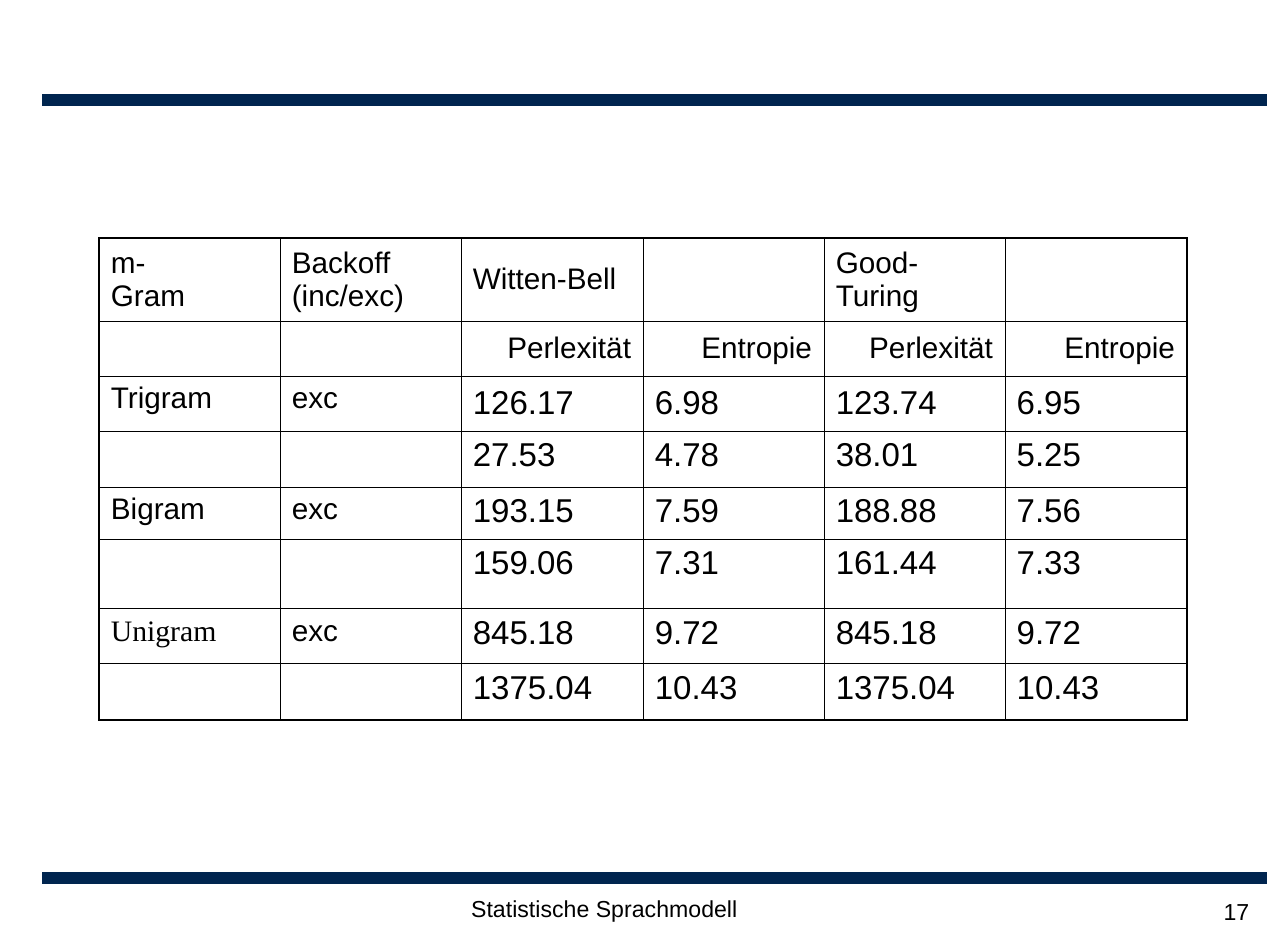
import pptx
import pptx.dml.color
import pptx.enum.shapes
import pptx.enum.text
import pptx.oxml
import pptx.oxml.ns
import pptx.util

PX = 7697  # EMU per px
COLORS = {"bar": "00254F", "ink": "000000"}
ALIGN = pptx.enum.text.PP_ALIGN
ANCHOR = pptx.enum.text.MSO_ANCHOR


def format_text(tf, size, align, font="Arial"):
    for p in tf.paragraphs:
        p.alignment = align
        for r in p.runs:
            r.font.size = pptx.util.Pt(size)
            r.font.name = font
            r.font.color.rgb = pptx.dml.color.RGBColor.from_string(COLORS["ink"])


def add_border(cell, side, points):
    cell._tc.get_or_add_tcPr().append(pptx.oxml.parse_xml(
        f'<a:ln{side} {pptx.oxml.ns.nsdecls("a")} w="{pptx.util.Pt(points)}">'
        f'<a:solidFill><a:srgbClr val="{COLORS["ink"]}"/></a:solidFill></a:ln{side}>'))


prs = pptx.Presentation()
prs.slide_width, prs.slide_height = 1288 * PX, 941 * PX
s = prs.slides.add_slide(prs.slide_layouts[6])

# Bars above and below the content
for top in (94, 872):
    sp = s.shapes.add_shape(pptx.enum.shapes.MSO_SHAPE.RECTANGLE,
                            42 * PX, top * PX, 1225 * PX, 12 * PX)
    sp.shadow.inherit = False
    sp.fill.solid()
    sp.fill.fore_color.rgb = pptx.dml.color.RGBColor.from_string(COLORS["bar"])
    sp.line.fill.background()

# Results table
rows = [
    ["m-\nGram", "Backoff\n(inc/exc)", "Witten-Bell", "", "Good-Turing", ""],
    ["", "", "Perlexität", "Entropie", "Perlexität", "Entropie"],
    ["Trigram", "exc", "126.17", "6.98", "123.74", "6.95"],
    ["", "", "27.53", "4.78", "38.01", "5.25"],
    ["Bigram", "exc", "193.15", "7.59", "188.88", "7.56"],
    ["", "", "159.06", "7.31", "161.44", "7.33"],
    ["Unigram", "exc", "845.18", "9.72", "845.18", "9.72"],
    ["", "", "1375.04", "10.43", "1375.04", "10.43"],
]
col_widths = [181, 181, 182] * 2
row_heights = [83, 55, 55, 56, 52, 70, 55, 56]
last_row, last_col = len(rows) - 1, len(col_widths) - 1

table = s.shapes.add_table(len(rows), len(col_widths), 99 * PX, 238 * PX,
                           sum(col_widths) * PX, sum(row_heights) * PX).table
table.first_row = table.horz_banding = False
for column, width in zip(table.columns, col_widths):
    column.width = width * PX
for row, height in zip(table.rows, row_heights):
    row.height = height * PX

for i, row in enumerate(rows):
    for j, text in enumerate(row):
        cell = table.cell(i, j)
        cell.text_frame.text = text
        is_value = i >= 2 and j >= 2
        format_text(cell.text_frame, 20 if is_value else 18,
                    ALIGN.RIGHT if i == 1 else ALIGN.LEFT,
                    "Times New Roman" if text == "Unigram" else "Arial")
        centred = i < 2 or (i == 2 and is_value)
        cell.vertical_anchor = ANCHOR.MIDDLE if centred else ANCHOR.TOP
        outer_sides = {"L": j == 0, "R": j == last_col, "T": i == 0, "B": i == last_row}
        for side, is_outer in outer_sides.items():
            add_border(cell, side, 1.08 if is_outer else 0.45)
        cell.fill.background()

# Footer and slide number
for text, left, width, height, align, anchor in (
        ("Statistische Sprachmodell", 416, 377, 59, ALIGN.CENTER, ANCHOR.TOP),
        ("17", 971, 290, 44, ALIGN.RIGHT, ANCHOR.MIDDLE)):
    tf = s.shapes.add_textbox(left * PX, 889 * PX, width * PX, height * PX).text_frame
    tf.word_wrap = True
    tf.vertical_anchor = anchor
    tf.text = text
    format_text(tf, 14, align)

prs.save("out.pptx")
